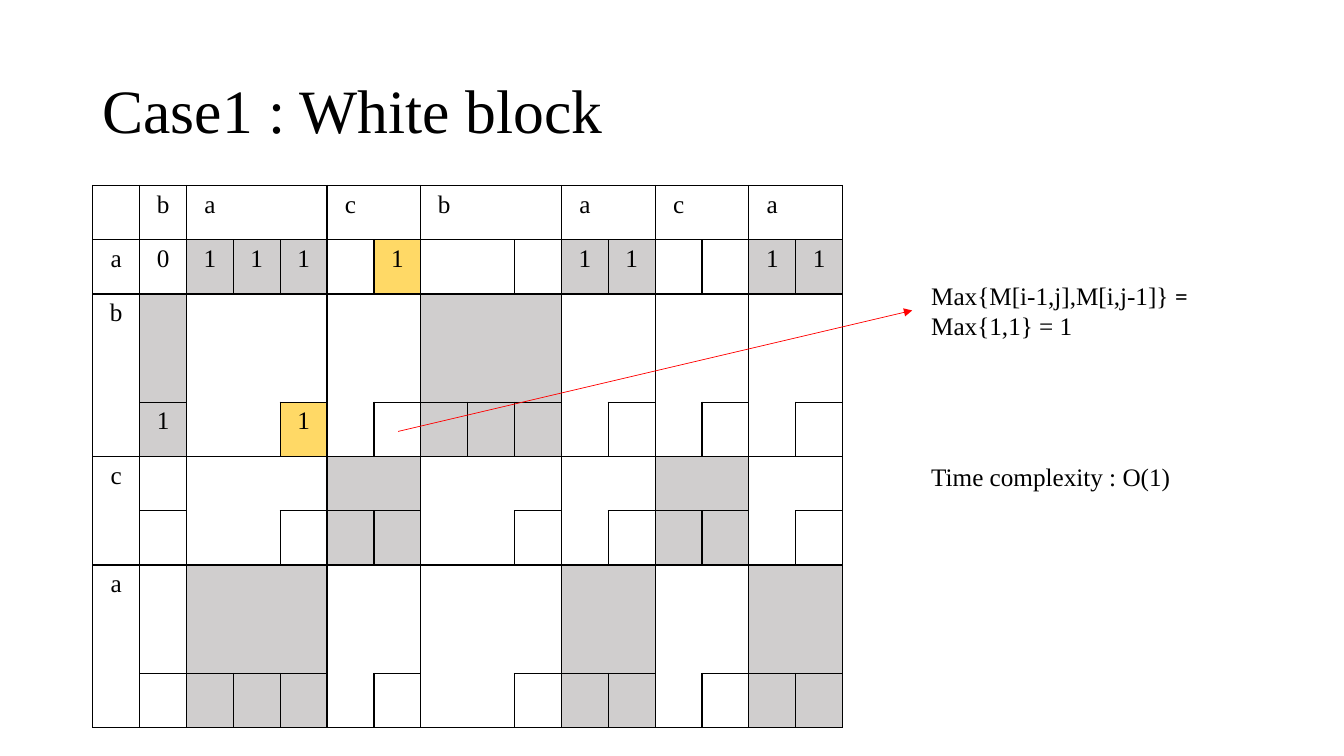
import pptx
import pptx.util
import pptx.dml.color
import pptx.enum.shapes
import pptx.enum.text
import pptx.oxml
import pptx.oxml.ns

Pt = pptx.util.Pt
RGB = pptx.dml.color.RGBColor
ALIGN = pptx.enum.text.PP_ALIGN
ANCHOR = pptx.enum.text.MSO_ANCHOR
FIT = pptx.enum.text.MSO_AUTO_SIZE

# Content
SERIF, SANS = "Times New Roman", "Calibri"
TITLE = [[("Case1 : White block", SERIF)]]
RESULT = [[("Max{M[i-1,j],M[i,j-1]} ", SERIF), ("=", SANS)],
          [("Max{1,1} = 1", SERIF)]]
COST = [[("Time complexity : O(1)", SERIF)]]

# Letter runs along each side; the first run is the header band
ACROSS = [("", 1), ("b", 1), ("a", 3), ("c", 2), ("b", 3),
          ("a", 2), ("c", 2), ("a", 2)]
DOWN = [("", 1), ("a", 1), ("b", 3), ("c", 2), ("a", 3)]
VALUES = {(1, 1): "0", (4, 1): "1", (4, 4): "1"}
VALUES.update({(1, col): "1" for col in (2, 3, 4, 6, 10, 11, 14, 15)})
MARKED = {(1, 6), (4, 4)}

BLACK = RGB(0x00, 0x00, 0x00)
WHITE = RGB(0xFF, 0xFF, 0xFF)
GREY = RGB(0xD0, 0xCE, 0xCE)
GOLD = RGB(0xFF, 0xD9, 0x66)
RED = RGB(0xFF, 0x00, 0x00)

LEFT, TOP, WIDE, HIGH = 66.24, 132.48, 33.48, 38.74


def write(frame, lines, size=18, align=ALIGN.LEFT, space=1.0):
    for num, line in enumerate(lines):
        para = frame.add_paragraph() if num else frame.paragraphs[0]
        para.alignment = align
        para.line_spacing = space
        for text, face in line:
            run = para.add_run()
            run.text = text
            run.font.size = Pt(size)
            run.font.name = face
            run.font.color.rgb = BLACK


def add_box(slide, place, wrap=True):
    box = slide.shapes.add_textbox(*[Pt(num) for num in place])
    box.text_frame.word_wrap = wrap
    box.text_frame.auto_size = FIT.SHAPE_TO_FIT_TEXT
    return box.text_frame


def spread(runs):
    """For each row or column: run number, letter, is first, is last."""
    return [(num, name, pos == 0, pos == size - 1)
            for num, (name, size) in enumerate(runs) for pos in range(size)]


ROWS, COLS = spread(DOWN), spread(ACROSS)


def match(row, col):
    return ROWS[row][1] == COLS[col][1] != ""


def region(row, col):
    """Cells of one region have no line between them."""
    if not (0 <= row < len(ROWS) and 0 <= col < len(COLS)):
        return None
    down, across = ROWS[row], COLS[col]
    head = down[0] == 0 or across[0] == 0
    if not head and down[3] and (across[3] or match(row, col)):
        return "cell", row, col
    return "block", down[0], across[0]


def label(row, col):
    if row == 0 and COLS[col][2]:
        return COLS[col][1]
    if col == 0 and ROWS[row][2]:
        return ROWS[row][1]
    return VALUES.get((row, col), "")


def set_edges(cell, row, col):
    props = cell._tc.get_or_add_tcPr()
    space = pptx.oxml.ns.nsdecls("a")
    sides = [("lnL", 0, -1), ("lnR", 0, 1), ("lnT", -1, 0), ("lnB", 1, 0)]
    for num, (tag, down, across) in enumerate(sides):
        seen = region(row + down, col + across) != region(row, col)
        fill = (f'<a:solidFill><a:srgbClr val="{BLACK}"/></a:solidFill>'
                if seen else "<a:noFill/>")
        width = Pt(1) if seen else 0
        props.insert(num, pptx.oxml.parse_xml(
            f'<a:{tag} {space} w="{width}">{fill}</a:{tag}>'))


def add_grid(slide):
    tall, broad = len(ROWS), len(COLS)
    grid = slide.shapes.add_table(tall, broad, Pt(LEFT), Pt(TOP),
                                  Pt(WIDE * broad), Pt(HIGH * tall)).table
    grid.first_row = grid.horz_banding = False
    for col in grid.columns:
        col.width = Pt(WIDE)
    for row in grid.rows:
        row.height = Pt(HIGH)
    for row in range(tall):
        for col in range(broad):
            cell = grid.cell(row, col)
            cell.fill.solid()
            cell.fill.fore_color.rgb = (
                GOLD if (row, col) in MARKED
                else GREY if match(row, col) else WHITE)
            text = label(row, col)
            if text:
                write(cell.text_frame, [[(text, SERIF)]], align=ALIGN.CENTER)
            set_edges(cell, row, col)


def add_arrow(slide, start, end):
    line = slide.shapes.add_connector(
        pptx.enum.shapes.MSO_CONNECTOR.STRAIGHT,
        *[Pt(num) for num in start + end])
    line.line.color.rgb = RED
    line.line.width = Pt(0.5)
    space = pptx.oxml.ns.nsdecls("a")
    line.line._get_or_add_ln().append(
        pptx.oxml.parse_xml(f'<a:tailEnd {space} type="triangle"/>'))
    line._element.spPr.append(
        pptx.oxml.parse_xml(f"<a:effectLst {space}/>"))


def main():
    deck = pptx.Presentation()
    deck.slide_width, deck.slide_height = Pt(960), Pt(540)
    slide = deck.slides.add_slide(deck.slide_layouts[6])

    # Title
    frame = add_box(slide, (66.24, 28.8, 828, 104.4))
    frame.auto_size = FIT.NONE
    frame.vertical_anchor = ANCHOR.MIDDLE
    write(frame, TITLE, size=44, space=0.9)

    # Grid, arrow and notes beside it
    add_grid(slide)
    add_arrow(slide, (284.4, 308.16), (651.6, 221.76))
    write(add_box(slide, (658.08, 196.56, 199.44, 51.12), wrap=False), RESULT)
    write(add_box(slide, (658.08, 326.16, 306.72, 28.8)), COST)

    deck.save("out.pptx")


if __name__ == "__main__":
    main()
